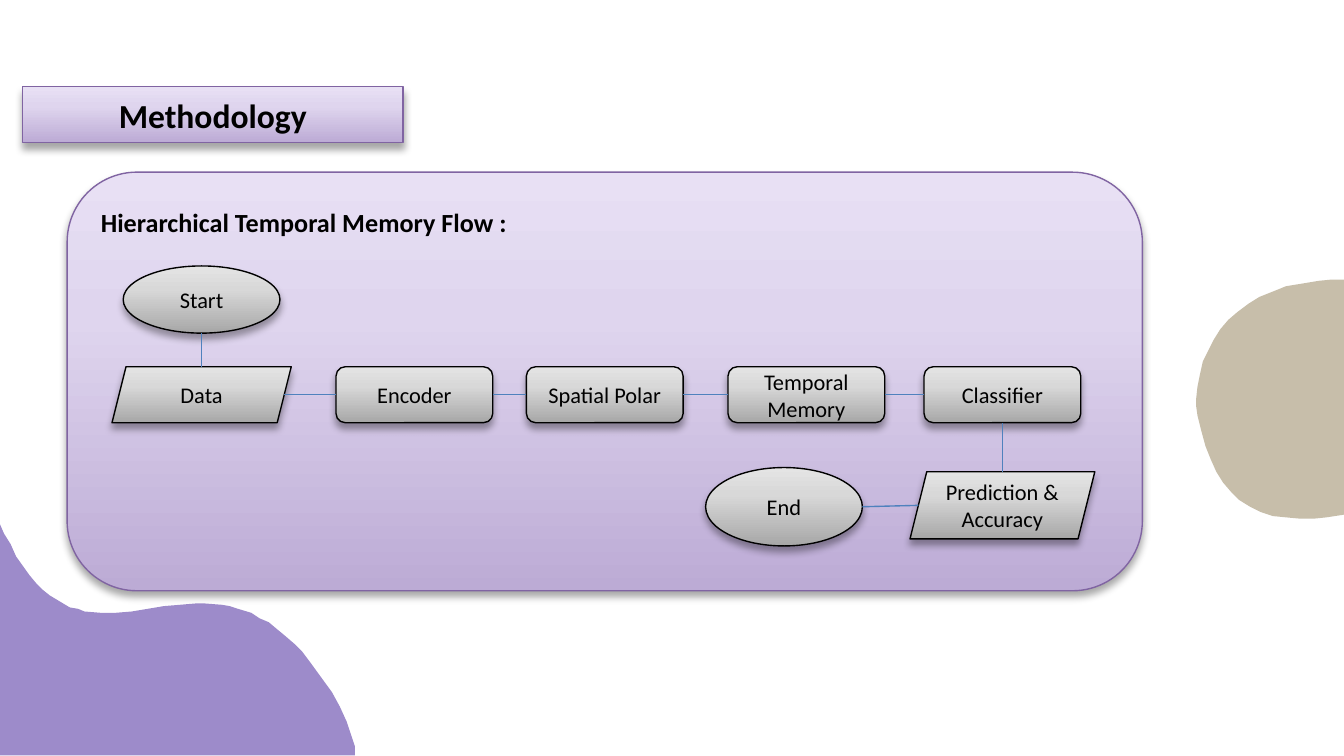
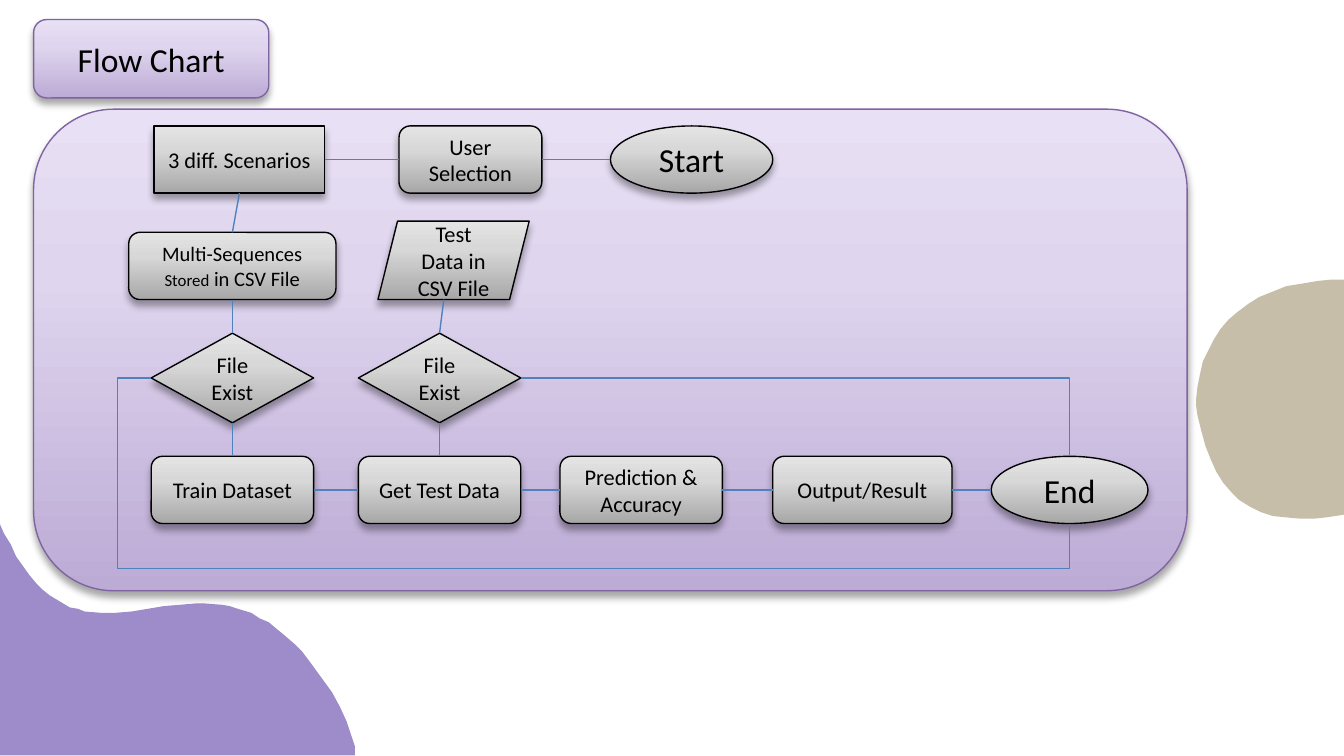
from copy import deepcopy
from lxml import etree
from pptx import Presentation
from pptx.dml.color import RGBColor
from pptx.enum.shapes import MSO_CONNECTOR, MSO_SHAPE
from pptx.enum.text import MSO_ANCHOR, PP_ALIGN
from pptx.oxml.ns import qn
from pptx.util import Inches, Pt

RECT = MSO_SHAPE.RECTANGLE
ROUND = MSO_SHAPE.ROUNDED_RECTANGLE
OVAL = MSO_SHAPE.OVAL
SKEWED = MSO_SHAPE.PARALLELOGRAM
DECISION = MSO_SHAPE.FLOWCHART_DECISION
STRAIGHT = MSO_CONNECTOR.STRAIGHT
ELBOW = MSO_CONNECTOR.ELBOW
MIDDLE, TOP_ANCHOR = MSO_ANCHOR.MIDDLE, MSO_ANCHOR.TOP
CENTER, LEFT_ALIGN = PP_ALIGN.CENTER, PP_ALIGN.LEFT
TOP, LEFT, BOTTOM, RIGHT = range(4)

BLACK = RGBColor(0x00, 0x00, 0x00)
PURPLE = RGBColor(0x80, 0x64, 0xA2)
BLUE = RGBColor(0x4F, 0x81, 0xBD)
VIOLET = RGBColor(0x9D, 0x8B, 0xCA)
SAND = RGBColor(0xC7, 0xBE, 0xAA)
LILAC_FADE = (RGBColor(0xBC, 0xAB, 0xD5), RGBColor(0xDF, 0xD5, 0xEE), RGBColor(0xE8, 0xE0, 0xF4))
GREY_FADE = (RGBColor(0xA7, 0xA7, 0xA7), RGBColor(0xD8, 0xD8, 0xD8), RGBColor(0xE4, 0xE4, 0xE4))
FADE_STOPS = (0, 0.65, 1)
FONT = "Calibri"
LINE_WIDTH = Pt(0.75)

COLUMNS, ROWS = 240, 135
SLIDE_WIDTH, SLIDE_HEIGHT = Inches(10), Inches(5.625)

HUNDREDTH = Inches(0.01)
VIOLET_WAVE = [
    (264, 562), (0, 562), (0, 390), (3, 397), (8, 405), (12, 414), (17, 421), (22, 428),
    (27, 434), (32, 439), (37, 443), (42, 446), (47, 449), (52, 452), (58, 453), (63, 455),
    (75, 456), (86, 456), (98, 455), (122, 451), (134, 450), (146, 449), (152, 449),
    (165, 450), (171, 451), (177, 453), (187, 456), (193, 460), (200, 463), (206, 468),
    (212, 473), (219, 479), (225, 485), (231, 493), (239, 504), (247, 515), (253, 526),
    (258, 537), (261, 546), (264, 555)]
SAND_DROP = [
    (968, 386), (957, 385), (947, 384), (938, 381), (930, 377), (922, 372), (916, 366),
    (910, 359), (905, 351), (901, 342), (897, 332), (894, 321), (891, 309), (890, 302),
    (890, 297), (891, 288), (893, 278), (895, 269), (899, 261), (903, 253), (908, 245),
    (914, 238), (921, 232), (929, 226), (937, 221), (947, 217), (957, 213), (969, 211),
    (981, 209), (991, 208), (1000, 208), (1000, 383), (987, 385), (977, 386)]


def write(box, text, size=12, bold=False, align=CENTER, anchor=MIDDLE, margin_top=0.05):
    frame = box.text_frame
    frame.word_wrap = True
    frame.vertical_anchor = anchor
    frame.margin_top = Inches(margin_top)
    para = frame.paragraphs[0]
    para.alignment = align
    parts = [(text, size)] if isinstance(text, str) else text
    for words, points in parts:
        span = para.add_run()
        span.text = words
        span.font.name = FONT
        span.font.size = Pt(points)
        span.font.bold = bold
        span.font.color.rgb = BLACK


def add_effects(element, shadow=False):
    effects = etree.SubElement(element.spPr, qn("a:effectLst"))
    if shadow:
        outer = etree.SubElement(effects, qn("a:outerShdw"), blurRad=str(Pt(4)),
                                 dist=str(Pt(3)), dir="5400000", rotWithShape="0")
        colour = etree.SubElement(outer, qn("a:srgbClr"), val=str(BLACK))
        etree.SubElement(colour, qn("a:alpha"), val="35000")


class FlowPage:
    def __init__(self, deck):
        self.deck = deck
        self.column = deck.slide_width / COLUMNS
        self.row = deck.slide_height / ROWS
        self.shapes = None

    def start(self):
        page = self.deck.slides.add_slide(self.deck.slide_layouts[6])
        self.shapes = page.shapes
        self.curve(VIOLET_WAVE, VIOLET)
        self.curve(SAND_DROP, SAND)

    def curve(self, points, colour):
        builder = self.shapes.build_freeform(*points[0], scale=HUNDREDTH)
        builder.add_line_segments(points[1:], close=True)
        outline = builder.convert_to_shape()
        outline.shadow.inherit = False
        outline.fill.solid()
        outline.fill.fore_color.rgb = colour
        outline.line.fill.background()

    def box(self, kind, left, top, width, height, text="", fade=GREY_FADE, edge=BLACK, **style):
        box = self.shapes.add_shape(
            kind, round(left * self.column), round(top * self.row),
            round(width * self.column), round(height * self.row))
        box.fill.gradient()
        box.fill.gradient_angle = 90
        stop_list = box.element.spPr.find(qn("a:gradFill")).find(qn("a:gsLst"))
        stop_list.append(deepcopy(stop_list[0]))
        for stop, colour, position in zip(box.fill.gradient_stops, fade, FADE_STOPS):
            stop.color.rgb = colour
            stop.position = position
        box.line.color.rgb = edge
        box.line.width = LINE_WIDTH
        add_effects(box.element, shadow=True)
        if text:
            write(box, text, **style)
        return box

    def panel(self, kind, *place, **style):
        return self.box(kind, *place, fade=LILAC_FADE, edge=PURPLE, **style)

    def side(self, box, side):
        middle_x, middle_y = box.left + box.width // 2, box.top + box.height // 2
        skew = box.height // 8 if box.auto_shape_type == SKEWED else 0
        return {
            TOP: (middle_x, box.top),
            LEFT: (box.left + skew, middle_y),
            BOTTOM: (middle_x - skew, box.top + box.height),
            RIGHT: (box.left + box.width - skew, middle_y),
        }[side]

    def line(self, begin, end, kind=STRAIGHT):
        line = self.shapes.add_connector(kind, *begin, *end)
        line.line.color.rgb = BLUE
        line.line.width = LINE_WIDTH
        add_effects(line.element)
        return line

    def link(self, first, first_side, second, second_side, kind=STRAIGHT):
        line = self.line(self.side(first, first_side), self.side(second, second_side), kind)
        joinable = (RECT, ROUND, DECISION)
        if first.auto_shape_type in joinable:
            line.begin_connect(first, first_side)
        if second.auto_shape_type in joinable:
            line.end_connect(second, second_side)
        return line

    def chain(self, boxes, leave, enter):
        for first, second in zip(boxes, boxes[1:]):
            self.link(first, leave, second, enter)


def bend(line, preset, share=None):
    geometry = line.element.spPr.find(qn("a:prstGeom"))
    geometry.set("prst", preset)
    if share is not None:
        guides = geometry.find(qn("a:avLst"))
        if guides is None:
            guides = etree.SubElement(geometry, qn("a:avLst"))
        etree.SubElement(guides, qn("a:gd"), name="adj1", fmla=f"val {round(share * 100000)}")


def methodology(page):
    page.start()
    page.panel(RECT, 4, 15.5, 68, 10, text="Methodology", size=18, bold=True)
    page.panel(ROUND, 12, 30.75, 192, 74.75, text="Hierarchical Temporal Memory Flow :",
               size=14, bold=True, align=LEFT_ALIGN, anchor=TOP_ANCHOR, margin_top=0.1)
    start = page.box(OVAL, 22, 47.5, 28, 12, "Start")
    data = page.box(SKEWED, 20, 65.5, 32, 10, "Data")
    steps = [page.box(ROUND, left, 65.5, 28, 10, text) for left, text in (
        (60, "Encoder"), (94, "Spatial Polar"), (130, "Temporal Memory"), (165, "Classifier"))]
    prediction = page.box(SKEWED, 162.5, 84.25, 33, 12, "Prediction & Accuracy")
    end = page.box(OVAL, 126, 83.5, 28, 14, "End")
    page.link(start, BOTTOM, data, TOP)
    page.chain([data] + steps, RIGHT, LEFT)
    page.link(steps[-1], BOTTOM, prediction, TOP)
    page.link(prediction, LEFT, end, RIGHT)


def flow_chart(page):
    page.start()
    page.panel(ROUND, 6, 3.5, 42, 14, text="Flow Chart", size=18)
    page.panel(ROUND, 6, 19.5, 206, 86)
    start = page.box(OVAL, 109, 22.5, 29, 12, "Start", size=18)
    selection = page.box(ROUND, 71.25, 22.5, 25.5, 12, "User Selection")
    scenarios = page.box(RECT, 27.5, 22.5, 30.5, 12, "3 diff. Scenarios")
    sequences = page.box(ROUND, 23, 41.5, 37, 12, [
        ("Multi-Sequences ", 11), ("Stored", 9), (" in CSV File", 11)])
    test_file = page.box(SKEWED, 67.5, 39.5, 27, 14, "Test Data in CSV File")
    train_check, test_check = [
        page.box(DECISION, left, 59.5, 29, 16, "File Exist") for left in (27, 64)]
    train, test, prediction, output = [
        page.box(ROUND, left, 81.5, width, 12, text) for left, width, text in (
            (27, 29, "Train Dataset"), (64, 29, "Get Test Data"),
            (100, 29, "Prediction & Accuracy"), (138, 32, "Output/Result"))]
    end = page.box(OVAL, 177, 81.5, 28, 12, "End", size=18)

    page.chain([start, selection, scenarios], LEFT, RIGHT)
    page.chain([scenarios, sequences, train_check, train], BOTTOM, TOP)
    page.chain([test_file, test_check, test], BOTTOM, TOP)
    page.chain([train, test, prediction, output, end], RIGHT, LEFT)
    missing_test = page.link(test_check, RIGHT, end, TOP, ELBOW)
    missing_test.end_connect(end, TOP)
    bend(missing_test, "bentConnector2")

    end_x, end_y = page.side(end, BOTTOM)
    corner = (end_x, end_y + round(8 * page.row))
    missing_train = page.line(page.side(train_check, LEFT), corner, ELBOW)
    missing_train.begin_connect(train_check, LEFT)
    bend(missing_train, "bentConnector3", share=-0.037)
    page.line((end_x, end_y), corner)


def main():
    deck = Presentation()
    deck.slide_width, deck.slide_height = SLIDE_WIDTH, SLIDE_HEIGHT
    page = FlowPage(deck)
    methodology(page)
    flow_chart(page)
    deck.save("out.pptx")


if __name__ == "__main__":
    main()
